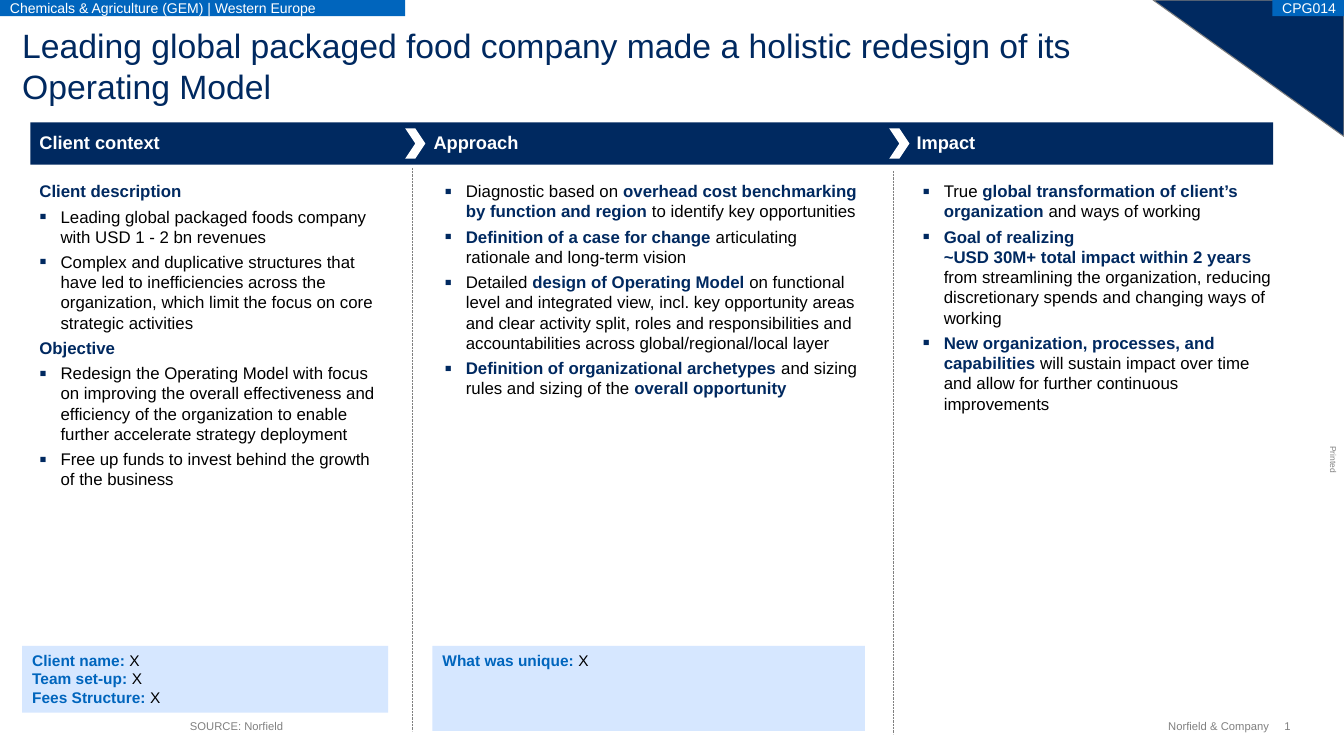
from lxml.etree import SubElement
from pptx import Presentation
from pptx.dml.color import RGBColor
from pptx.enum.dml import MSO_LINE_DASH_STYLE as Dash
from pptx.enum.shapes import MSO_CONNECTOR as Connector, MSO_SHAPE as Shape
from pptx.enum.text import MSO_ANCHOR as Anchor, PP_ALIGN as Align
from pptx.oxml.ns import qn
from pptx.util import Inches, Pt

WIDTH, HEIGHT = 13.3, 7.35
COLORS = {"navy": "002960", "blue": "0065BD", "pale": "D6E7FF",
          "gray": "808080", "black": "000000", "white": "FFFFFF"}
INDENT = 0.21
BODY_TOP, HEADER_TOP, HEADER_HEIGHT = 1.79, 1.21, 0.42
NOTE_TOP = 6.39

COLUMNS = [
    {"heading": "Client context", "left": 0.39, "body": (0.39, 3.36), "lines": [
        "*Client description*",
        "- Leading global packaged foods company with USD 1 - 2 bn revenues",
        "- Complex and duplicative structures that have led to inefficiencies across the "
        "organization, which limit the focus on core strategic activities",
        "*Objective*",
        "- Redesign the Operating Model with focus on improving the overall effectiveness and "
        "efficiency of the organization to enable further accelerate strategy deployment",
        "- Free up funds to invest behind the growth of the business"]},
    {"heading": "Approach", "left": 4.29, "body": (4.4, 4.11), "lines": [
        "- Diagnostic based on *overhead cost benchmarking by function and region* to identify "
        "key opportunities",
        "- *Definition of a case for change *articulating rationale and long-term vision",
        "- Detailed *design of Operating Model* on functional level and integrated view, incl. "
        "key opportunity areas and clear activity split, roles and responsibilities and "
        "accountabilities across global/regional/local layer",
        "- *Definition of organizational archetypes *and sizing rules and sizing of the "
        "*overall opportunity*"]},
    {"heading": "Impact", "left": 9.07, "body": (9.13, 3.47), "lines": [
        "- True* global transformation of client’s organization *and ways of working",
        "- *Goal of realizing \n~USD 30M+ total impact within 2 years *from streamlining the "
        "organization, reducing discretionary spends and changing ways of working",
        "- *New organization, processes, and capabilities *will sustain impact over time and "
        "allow for further continuous improvements"]},
]
DIVIDERS = [{"chevron": 4.01, "line": 4.08, "top": 1.66},
            {"chevron": 8.8, "line": 8.84, "top": 1.69}]
NOTES = [((0.22, NOTE_TOP, 3.62, 0.66),
          ["*Client name: *X", "*Team set-up: *X", "*Fees Structure: *X"]),
         ((4.28, NOTE_TOP, 4.28, 0.84), ["*What was unique: *X"])]


def rgb(name):
    """Return the named colour."""
    return RGBColor.from_string(COLORS[name])


def add_bullet(para):
    """Give a paragraph a small square bullet and a hanging indent."""
    props = para._p.get_or_add_pPr()
    props.set("marL", str(Inches(INDENT)))
    props.set("indent", str(-Inches(INDENT)))
    color = SubElement(props, qn("a:buClr"))
    SubElement(color, qn("a:srgbClr"), val=COLORS["navy"])
    SubElement(props, qn("a:buSzPct"), val="125000")
    SubElement(props, qn("a:buFont"), typeface="Arial")
    SubElement(props, qn("a:buChar"), char="▪")


def add_spans(para, text, color, accent):
    """Add runs, setting the parts between asterisks bold in the accent colour."""
    for index, part in enumerate(text.split("*")):
        for row, piece in enumerate(part.split("\n")):
            if row:
                para.add_line_break()
            if piece:
                span = para.add_run()
                span.text = piece
                if "*" in text:
                    span.font.bold = index % 2 == 1
                    span.font.color.rgb = rgb(accent if index % 2 else color)


def write(shape, lines, size, color, accent="navy", bold=False, gap=0,
          align=Align.LEFT, anchor=Anchor.TOP, insets=(0, 0, 0, 0), wrap=True):
    """Fill a shape with paragraphs; a leading dash makes a bullet."""
    frame = shape.text_frame
    frame.word_wrap, frame.vertical_anchor = wrap, anchor
    (frame.margin_left, frame.margin_top,
     frame.margin_right, frame.margin_bottom) = map(Inches, insets)
    for index, line in enumerate(lines):
        para = frame.add_paragraph() if index else frame.paragraphs[0]
        para.alignment = align
        if index and gap:
            para.space_before = Pt(gap)
        if line.startswith("- "):
            add_bullet(para)
        font = para.font
        font.name, font.size, font.bold = "Arial", Pt(size), bold
        font.color.rgb = rgb(color)
        add_spans(para, line.removeprefix("- "), color, accent)


def add_text(page, box, lines, size, color, **style):
    """Place a text box."""
    shape = page.shapes.add_textbox(*map(Inches, box))
    write(shape, lines, size, color, **style)
    return shape


def add_block(page, box, fill, kind=Shape.RECTANGLE):
    """Place a filled shape without outline."""
    shape = page.shapes.add_shape(kind, *map(Inches, box))
    shape.shadow.inherit = False
    shape.fill.solid()
    shape.fill.fore_color.rgb = rgb(fill)
    shape.line.fill.background()
    return shape


def add_divider(page, left, top, height):
    """Draw a dotted vertical line."""
    line = page.shapes.add_connector(
        Connector.STRAIGHT, *map(Inches, (left, top, left, top + height)))
    line.line.color.rgb = rgb("gray")
    line.line.width = Pt(0.5)
    line.line.dash_style = Dash.ROUND_DOT
    SubElement(line._element.spPr, qn("a:effectLst"))


def add_top(page, box):
    """Place the corner, tags and title in the top band."""
    left, top, width, height = box
    corner = add_block(page, (left + width - 1.89, top, 1.89, height),
                       "navy", Shape.RIGHT_TRIANGLE)
    corner.rotation = 180
    corner.line.color.rgb = rgb("gray")
    corner.line.width = Pt(0.75)
    tags = [(left, 4.01, "Chemicals & Agriculture (GEM) | Western Europe"),
            (left + width - 0.71, 0.71, "CPG014")]
    for start, size, label in tags:
        tag = add_block(page, (start, top, size, 0.16), "blue")
        write(tag, [label], 10, "white", anchor=Anchor.MIDDLE, insets=(0.1, 0, 0, 0))
    add_text(page, (left + 0.22, top + 0.25, 11.66, 0.81),
             ["Leading global packaged food company made a holistic redesign of its "
              "Operating Model"], 24, "navy")


def add_header(page, box):
    """Place the header bar with its headings and chevrons."""
    left, top, width, height = box
    add_block(page, box, "navy")
    for column in COLUMNS:
        add_text(page, (column["left"], top + 0.09, 2.91, height - 0.18),
                 [column["heading"]], 13, "white", bold=True,
                 anchor=Anchor.BOTTOM, insets=(0, 0, 0, 0.02))
    for divider in DIVIDERS:
        add_block(page, (divider["chevron"], top + 0.06, 0.2, height - 0.12),
                  "white", Shape.CHEVRON)


def add_columns(page, top, height):
    """Place the three bodies, the dividers and the shaded notes."""
    for column in COLUMNS:
        left, width = column["body"]
        add_text(page, (left, top, width, height), column["lines"], 12, "black", gap=3.6)
    for divider in DIVIDERS:
        add_divider(page, divider["line"], divider["top"], 5.57)
    for box, lines in NOTES:
        write(add_block(page, box, "pale"), lines, 11, "black", accent="blue",
              insets=(0.1, 0.05, 0.1, 0.05))


def add_footer(page, top):
    """Place the source, company name, page number and side mark."""
    add_text(page, (1.88, top, 7.87, 0.13), ["SOURCE: Norfield"], 8, "gray",
             anchor=Anchor.BOTTOM)
    add_text(page, (11.43, top, 1.13, 0.13), ["Norfield & Company"], 8, "gray",
             align=Align.RIGHT, anchor=Anchor.MIDDLE)
    add_text(page, (12.71, top, 0.14, 0.13), ["1"], 8, "gray", anchor=Anchor.MIDDLE)
    mark = add_text(page, (13.06, 4.5, 0.27, 0.1), ["Printed"], 6, "gray", wrap=False)
    mark.rotation = 90


def main():
    """Build and save the slide."""
    deck = Presentation()
    deck.slide_width, deck.slide_height = Inches(WIDTH), Inches(HEIGHT)
    page = deck.slides.add_slide(deck.slide_layouts[6])
    add_top(page, (0, 0, WIDTH, 1.35))
    add_header(page, (0.3, HEADER_TOP, 12.3, HEADER_HEIGHT))
    add_columns(page, BODY_TOP, 3.33)
    add_footer(page, 7.12)
    deck.save("out.pptx")


if __name__ == "__main__":
    main()
